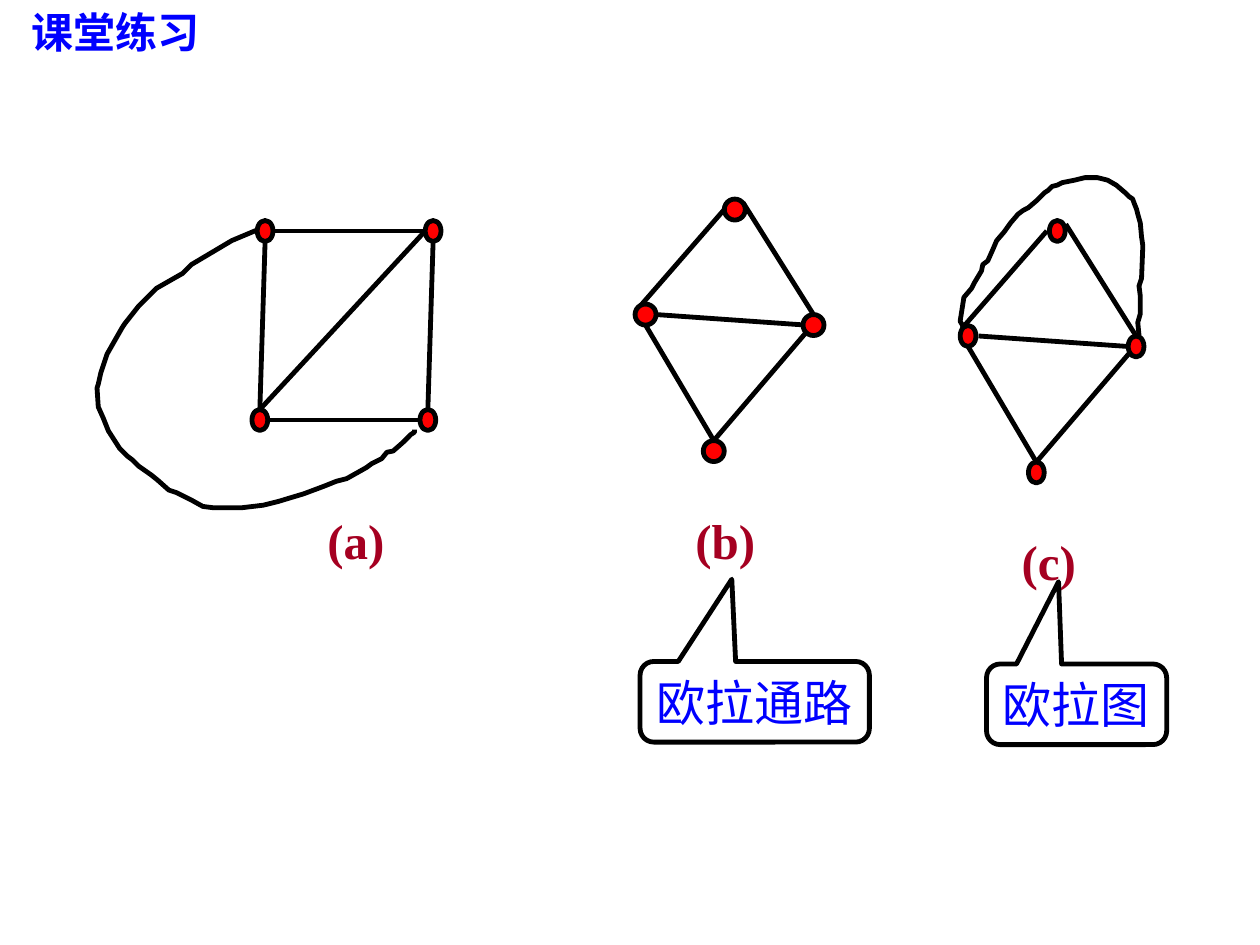
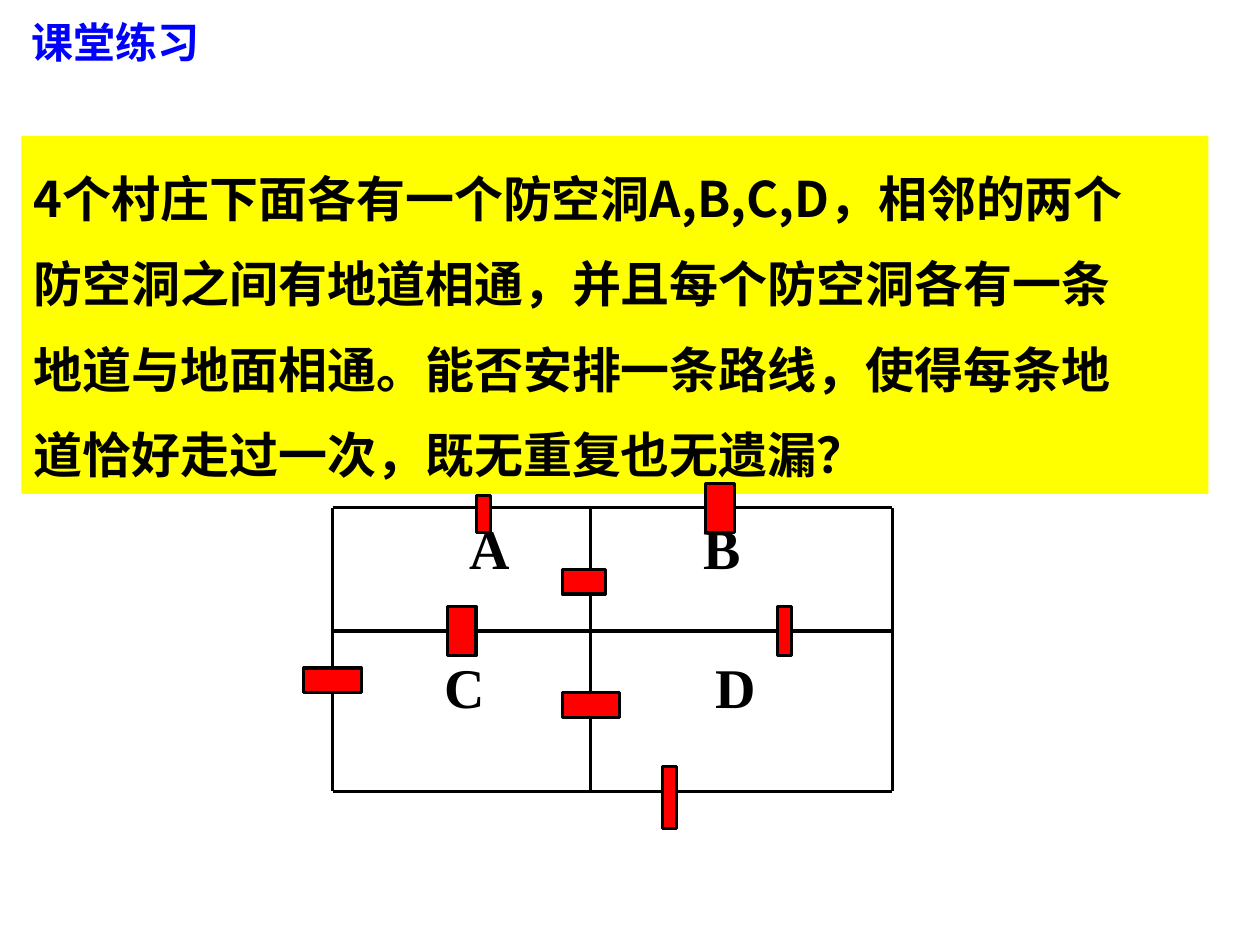
from typing import NamedTuple

from pptx import Presentation
from pptx.dml.color import RGBColor
from pptx.enum.shapes import MSO_CONNECTOR as Connector, MSO_SHAPE as Preset
from pptx.enum.text import MSO_ANCHOR as Anchor, MSO_AUTO_SIZE as AutoSize, PP_ALIGN as Align
from pptx.oxml.ns import qn
from pptx.util import Inches, Pt

BLACK = RGBColor(0x00, 0x00, 0x00)
RED = RGBColor(0xFF, 0x00, 0x00)
BLUE = RGBColor(0x00, 0x00, 0xFF)
CRIMSON = RGBColor(0xA5, 0x00, 0x21)
YELLOW = RGBColor(0xFF, 0xFF, 0x00)

SERIF, SANS, CHINESE = "Times New Roman", "Arial", "Noto Sans CJK SC"
TITLE = "课堂练习"
TITLE_STYLE = {"name": SERIF, "size": Pt(24), "bold": True, "color": BLUE}
LABEL_STYLE = {"name": SERIF, "size": Pt(28), "bold": True, "color": CRIMSON}
CALLOUT_STYLE = {"name": SANS, "size": Pt(28), "bold": False, "color": BLUE}
QUESTION_STYLE = {"name": CHINESE, "size": Pt(28), "bold": True, "color": BLACK}
ROOM_STYLE = {"name": SERIF, "size": Pt(32), "bold": True, "color": BLACK}

GRAPH_LINE, PLAN_LINE = 2.75, 1.75

SQUARE_NODES = [(2.5, 2), (34.5, 2), (1.5, 38), (33.5, 38)]
SQUARE_EDGES = [((4, 2), (33, 2)), ((3, 38), (32, 38)), ((2.5, 4), (1.5, 36)),
                ((34.5, 4), (33.5, 36)), ((1.5, 36), (33, 2))]
DIAMOND_NODES = [(2, 22), (34, 24), (15, 48), (19, 2)]
DIAMOND_EDGES = [((4, 22), (32.5, 24)), ((0.8, 20.6), (17, 2)), ((2, 24), (15, 46)),
                 ((20.6, 0.7), (34, 22)), ((15, 46), (32.6, 25.4))]
WIDE_LOOP = [
    (126, 0), (107, 8), (75, 27), (68, 34), (47, 46), (33, 60), (22, 74), (20, 77),
    (8, 98), (3, 113), (1, 122), (0, 125), (1, 140), (5, 149), (9, 159), (18, 173),
    (24, 179), (28, 182), (33, 187), (43, 194), (48, 198), (57, 206), (63, 208),
    (69, 211), (75, 214), (84, 219), (92, 220), (115, 220), (132, 218), (144, 215),
    (154, 212), (164, 209), (180, 203), (190, 199), (198, 197), (207, 192), (214, 188),
    (218, 185), (226, 181), (230, 176), (235, 175), (243, 168), (249, 162), (252, 160),
    (252, 158)]
TALL_LOOP = [
    (3, 119), (0, 114), (3, 95), (9, 88), (11, 84), (17, 74), (18, 69), (22, 66),
    (26, 57), (29, 50), (35, 43), (40, 36), (46, 29), (50, 26), (54, 24), (61, 18),
    (67, 12), (70, 10), (73, 7), (77, 6), (81, 4), (91, 2), (99, 0), (109, 0),
    (117, 2), (124, 6), (131, 12), (134, 15), (137, 17), (138, 20), (140, 25),
    (141, 29), (143, 36), (144, 47), (145, 54), (144, 80), (142, 86), (143, 94),
    (143, 108), (141, 115), (142, 125)]

QUESTION = ["4个村庄下面各有一个防空洞A,B,C,D，相邻的两个",
            "防空洞之间有地道相通，并且每个防空洞各有一条",
            "地道与地面相通。能否安排一条路线，使得每条地",
            "道恰好走过一次，既无重复也无遗漏？"]
ROW_WALLS = {0: [(0, 10), (11, 26), (28, 39)],
             10: [(0, 8), (10, 31), (32, 39)],
             23: [(0, 24), (24, 39)]}
COLUMN_WALLS = {0: [(0, 13), (15, 23)],
                18: [(0, 5), (7, 10), (10, 15), (17, 23)],
                39: [(0, 23)]}
DOORS = [(10, -1, 1, 3), (26, -2, 2, 4), (8, 8, 2, 4), (16, 5, 3, 2),
         (31, 8, 1, 4), (23, 21, 1, 5), (-2, 13, 4, 2), (16, 15, 4, 2)]
ROOMS = {"A": (8.7, 0), "B": (25, 0), "C": (6.9, 11.25), "D": (25.8, 11.25)}


class Grid(NamedTuple):
    """A box in inches, measured in columns and rows."""
    left: float
    top: float
    column: float
    row: float

    def point(self, x, y):
        """Return the place of a grid crossing."""
        return Inches(self.left + x * self.column), Inches(self.top + y * self.row)

    def area(self, x, y, width, height):
        """Return left, top, width and height of a block of cells."""
        return (*self.point(x, y), Inches(width * self.column), Inches(height * self.row))


SLIDE = Grid(0, 0, 1, 1)


def set_outline(item, width):
    """Draw a black line of the given width."""
    item.line.color.rgb = BLACK
    item.line.width = Pt(width)


def write(frame, lines, style, spacing=None, **layout):
    """Put left-aligned paragraphs in a text frame."""
    for key, value in layout.items():
        setattr(frame, key, value)
    for index, line in enumerate(lines):
        para = frame.add_paragraph() if index else frame.paragraphs[0]
        para.alignment = Align.LEFT
        if spacing:
            para.line_spacing = spacing
        span = para.add_run()
        span.text = line
        for key, value in style.items():
            if key == "color":
                span.font.color.rgb = value
            else:
                setattr(span.font, key, value)
        span.font._element.get_or_add_latin().addnext(
            span.font._element.makeelement(qn("a:ea"), {"typeface": CHINESE}))


def add_text(page, area, text, style, wrap=False):
    """Add a one-line text box."""
    box = page.shapes.add_textbox(*area)
    write(box.text_frame, [text], style, word_wrap=wrap)


def add_block(page, preset, area, fill=None, width=None):
    """Add a flat preset shape with an optional fill and outline."""
    block = page.shapes.add_shape(preset, *area)
    block.shadow.inherit = False
    if fill is None:
        block.fill.background()
    else:
        block.fill.solid()
        block.fill.fore_color.rgb = fill
    if width:
        set_outline(block, width)
    else:
        block.line.fill.background()
    return block


def add_line(page, start, end, width):
    """Add a straight line without a shadow."""
    line = page.shapes.add_connector(Connector.STRAIGHT, *start, *end)
    set_outline(line, width)
    effects = line._element.spPr.makeelement(qn("a:effectLst"), {})
    line._element.spPr.append(effects)


def add_loop(page, grid, points):
    """Add an open outline through the points."""
    start, *rest = [grid.point(x, y) for x, y in points]
    builder = page.shapes.build_freeform(*start)
    builder.add_line_segments(rest, close=False)
    loop = builder.convert_to_shape()
    loop.shadow.inherit = False
    loop.fill.background()
    set_outline(loop, GRAPH_LINE)


def add_graph(page, grid, nodes, edges, node_width):
    """Draw the edges of a graph and its nodes above them."""
    for start, end in edges:
        add_line(page, grid.point(*start), grid.point(*end), GRAPH_LINE)
    for x, y in nodes:
        area = grid.area(x - node_width / 2, y - 2, node_width, 4)
        add_block(page, Preset.OVAL, area, RED, GRAPH_LINE)


def add_callout(page, area, text):
    """Add a speech bubble pointing up to a graph label."""
    callout = add_block(page, Preset.ROUNDED_RECTANGULAR_CALLOUT, area, width=GRAPH_LINE)
    for index, value in enumerate((-0.1, -1.52, 0.17)):
        callout.adjustments[index] = value
    write(callout.text_frame, [text], CALLOUT_STYLE,
          word_wrap=False, vertical_anchor=Anchor.MIDDLE)


def add_plan(page, grid):
    """Draw the walls, doors and letters of the four shelters."""
    for row, walls in ROW_WALLS.items():
        for start, end in walls:
            add_line(page, grid.point(start, row), grid.point(end, row), PLAN_LINE)
    for column, walls in COLUMN_WALLS.items():
        for start, end in walls:
            add_line(page, grid.point(column, start), grid.point(column, end), PLAN_LINE)
    for door in DOORS:
        add_block(page, Preset.RECTANGLE, grid.area(*door), RED, PLAN_LINE)
    for letter, corner in ROOMS.items():
        add_text(page, grid.area(*corner, 6.2, 7.5), letter, ROOM_STYLE)


def add_page(deck, title_top):
    """Add a slide with the shared title."""
    page = deck.slides.add_slide(deck.slide_layouts[5])
    title = page.shapes.title
    title.left, title.top, title.width, title.height = SLIDE.area(0.15, title_top, 3.02, 0.5)
    write(title.text_frame, [TITLE], TITLE_STYLE, word_wrap=True,
          auto_size=AutoSize.NONE, vertical_anchor=Anchor.TOP)
    return page


def build_graphs(deck):
    """Build the slide with three graphs."""
    page = add_page(deck, 0)
    cell = 1 / 24
    add_graph(page, Grid(2, 1.75, cell, cell), SQUARE_NODES, SQUARE_EDGES, 3)
    add_loop(page, Grid(0.77, 1.83, 0.01, 0.01), WIDE_LOOP)
    for left, top, node_width in ((5.04, 1.58, 4), (7.6, 1.75, 3)):
        add_graph(page, Grid(left, top, cell, cell), DIAMOND_NODES, DIAMOND_EDGES, node_width)
    add_loop(page, Grid(7.62, 1.41, 0.01, 0.01), TALL_LOOP)
    for text, left, top, width, wrap in (("(a)", 2.5, 4, 0.66, False),
                                         ("(b)", 5.42, 4, 0.95, True),
                                         ("(c)", 8.01, 4.17, 0.64, False)):
        add_text(page, SLIDE.area(left, top, width, 0.57), text, LABEL_STYLE, wrap)
    add_callout(page, SLIDE.area(5.08, 5.25, 1.82, 0.64), "欧拉通路")
    add_callout(page, SLIDE.area(7.83, 5.27, 1.43, 0.64), "欧拉图")


def build_shelters(deck):
    """Build the slide with the shelter question and its plan."""
    page = add_page(deck, 0.08)
    panel = add_block(page, Preset.RECTANGLE, SLIDE.area(0.17, 1.08, 9.42, 2.84), YELLOW)
    write(panel.text_frame, QUESTION, QUESTION_STYLE, 1.45,
          word_wrap=True, vertical_anchor=Anchor.TOP)
    add_plan(page, Grid(2.64, 4.03, 4.44 / 39, 2.25 / 23))


def main():
    """Build and save the deck."""
    deck = Presentation()
    deck.slide_width, deck.slide_height = Inches(10), Inches(7.5)
    build_graphs(deck)
    build_shelters(deck)
    deck.save("out.pptx")


if __name__ == "__main__":
    main()
